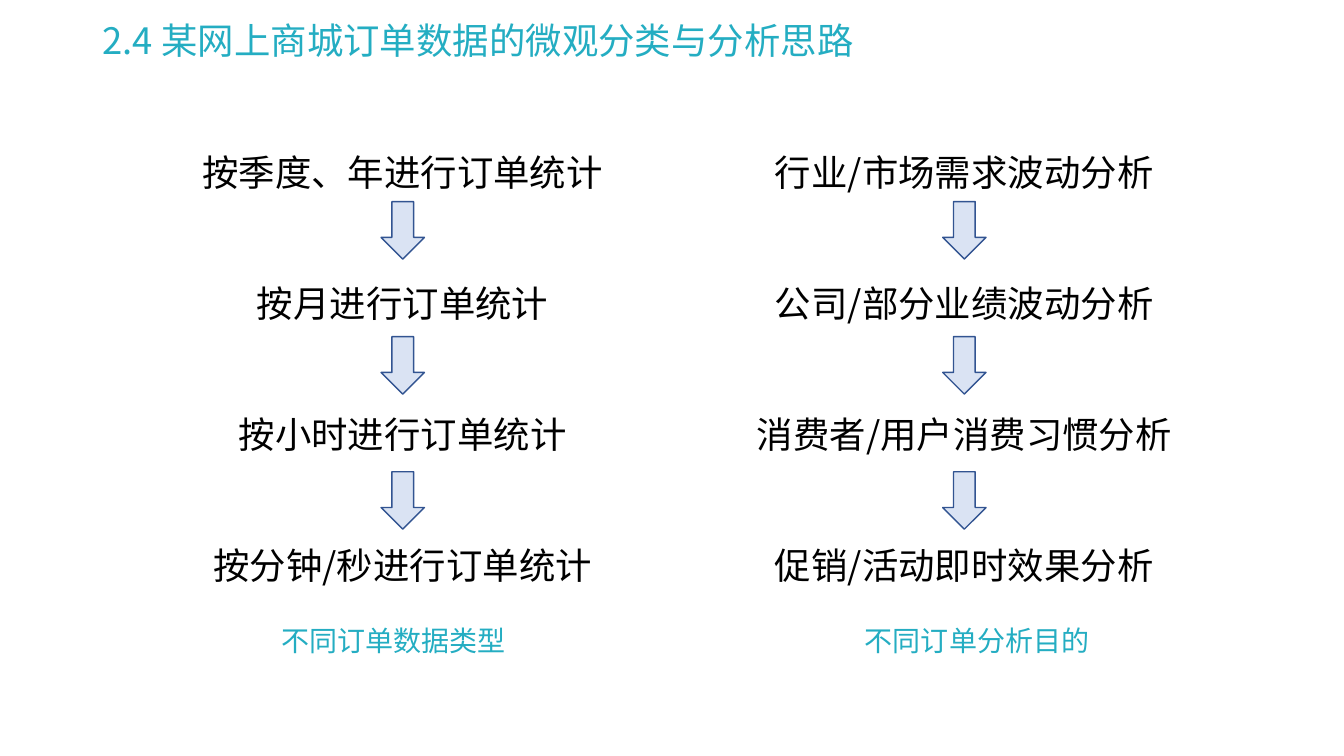
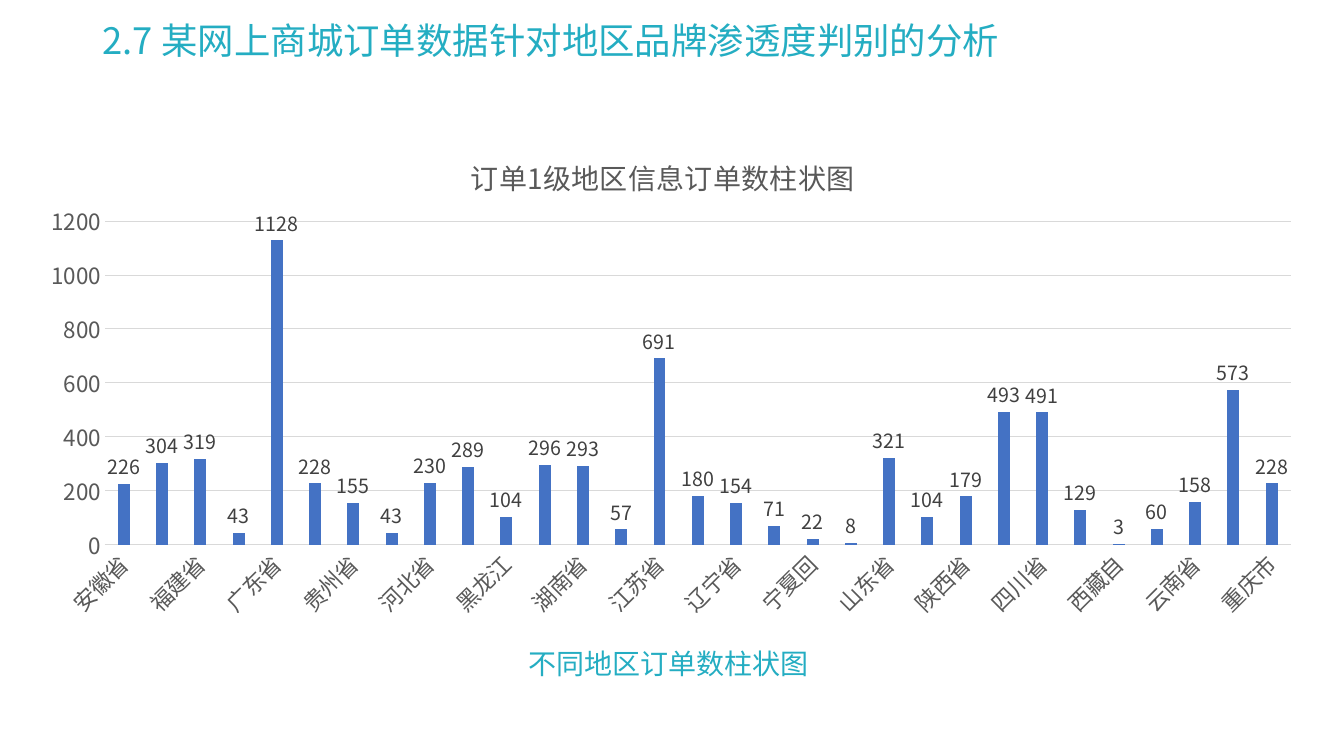
import dataclasses
import typing

import lxml.etree
import pptx
import pptx.chart.data
import pptx.dml.color
import pptx.enum.chart
import pptx.enum.shapes
import pptx.enum.text
import pptx.oxml.ns
import pptx.util

Inches = pptx.util.Inches
Pt = pptx.util.Pt
qn = pptx.oxml.ns.qn
ALIGN = pptx.enum.text.PP_ALIGN

FONT = "Noto Sans CJK SC"
TEAL, BLACK, GREY, DARK = "24ADC2", "000000", "595959", "404040"
GRID, BAR = "D9D9D9", "4472C4"
ARROW_FILL, ARROW_LINE = "DAE3F3", "325491"

TITLE = {"size": Pt(26), "color": TEAL}
STEP = {"size": Pt(26), "color": BLACK}
CAPTION = {"size": Pt(20), "color": TEAL}
CHART_TITLE = {"size": Pt(20), "color": GREY, "bold": False}
AXIS = {"size": Pt(16), "color": GREY}
DATA_LABEL = {"size": Pt(14), "color": DARK}

STEP_WIDTH, STEP_HEIGHT, STEP_TOP, STEP_PITCH = 4.53, 0.65, 1.38, 1.3
ARROW_WIDTH, ARROW_HEIGHT, ARROW_TOP, ARROW_PITCH = 0.43, 0.57, 2.0, 1.34


@dataclasses.dataclass
class Box:
    left: float
    top: float
    width: float
    height: float

    def lengths(self) -> list[int]:
        return [Inches(v) for v in (self.left, self.top, self.width, self.height)]


@dataclasses.dataclass
class Flow:
    left: float
    steps: list[str]
    caption: str
    caption_left: float


FLOWS = [
    Flow(1.73, ["按季度、年进行订单统计", "按月进行订单统计", "按小时进行订单统计", "按分钟/秒进行订单统计"],
         "不同订单数据类型", 2.69),
    Flow(7.3, ["行业/市场需求波动分析", "公司/部分业绩波动分析", "消费者/用户消费习惯分析", "促销/活动即时效果分析"],
         "不同订单分析目的", 8.48),
]

ORDERS = {
    "安徽省": 226, "北京市": 304, "福建省": 319, "甘肃省": 43, "广东省": 1128,
    "广西壮": 228, "贵州省": 155, "海南省": 43, "河北省": 230, "河南省": 289,
    "黑龙江": 104, "湖北省": 296, "湖南省": 293, "吉林省": 57, "江苏省": 691,
    "江西省": 180, "辽宁省": 154, "内蒙古": 71, "宁夏回": 22, "青海省": 8,
    "山东省": 321, "山西省": 104, "陕西省": 179, "上海市": 493, "四川省": 491,
    "天津市": 129, "西藏自": 3, "新疆维": 60, "云南省": 158, "浙江省": 573,
    "重庆市": 228,
}


def rgb(value: str) -> pptx.dml.color.RGBColor:
    return pptx.dml.color.RGBColor.from_string(value)


def set_font(font: typing.Any, fmt: dict[str, typing.Any]) -> None:
    for name, value in {"name": FONT, **fmt}.items():
        if name == "color":
            font.color.rgb = rgb(value)
        else:
            setattr(font, name, value)


def set_line(line: typing.Any, color: str, width: float) -> None:
    line.color.rgb = rgb(color)
    line.width = Pt(width)


def add_east_asian_font(root: typing.Any) -> None:
    for latin in list(root.iter(qn("a:latin"))):
        ea = lxml.etree.Element(qn("a:ea"))
        ea.set("typeface", FONT)
        latin.addnext(ea)


def add_text(slide: typing.Any, box: Box, text: str, fmt: dict[str, typing.Any],
             align: typing.Any = ALIGN.LEFT) -> None:
    sp = slide.shapes.add_textbox(*box.lengths())
    tf = sp.text_frame
    tf.word_wrap = True
    tf.vertical_anchor = pptx.enum.text.MSO_ANCHOR.MIDDLE
    p = tf.paragraphs[0]
    p.alignment = align
    r = p.add_run()
    r.text = text
    set_font(r.font, fmt)
    add_east_asian_font(sp.element)


def add_slide(prs: typing.Any, title: str) -> typing.Any:
    s = prs.slides.add_slide(prs.slide_layouts[6])
    add_text(s, Box(0.92, 0.07, 11.5, 0.66), title, TITLE)
    return s


def add_caption(slide: typing.Any, left: float, top: float, width: float, text: str) -> None:
    add_text(slide, Box(left, top, width, 0.55), text, CAPTION)


def add_arrow(slide: typing.Any, box: Box) -> None:
    sp = slide.shapes.add_shape(pptx.enum.shapes.MSO_SHAPE.DOWN_ARROW, *box.lengths())
    sp.shadow.inherit = False
    sp.fill.solid()
    sp.fill.fore_color.rgb = rgb(ARROW_FILL)
    set_line(sp.line, ARROW_LINE, 1)


def add_flow(slide: typing.Any, flow: Flow) -> None:
    for i, step in enumerate(flow.steps):
        box = Box(flow.left, STEP_TOP + i * STEP_PITCH, STEP_WIDTH, STEP_HEIGHT)
        add_text(slide, box, step, STEP, ALIGN.CENTER)
    arrow_left = flow.left + (STEP_WIDTH - ARROW_WIDTH) / 2
    for i in range(len(flow.steps) - 1):
        add_arrow(slide, Box(arrow_left, ARROW_TOP + i * ARROW_PITCH, ARROW_WIDTH, ARROW_HEIGHT))
    add_caption(slide, flow.caption_left, 6.08, 2.59, flow.caption)


def set_layout(parent: typing.Any, settings: dict[str, typing.Any]) -> None:
    layout = parent.find(qn("c:layout"))
    if layout is None:
        layout = lxml.etree.Element(qn("c:layout"))
        parent.insert(0, layout)
    manual = lxml.etree.SubElement(layout, qn("c:manualLayout"))
    for name, value in settings.items():
        lxml.etree.SubElement(manual, qn(f"c:{name}")).set("val", str(value))


def add_order_chart(slide: typing.Any, box: Box) -> None:
    data = pptx.chart.data.CategoryChartData()
    data.categories = list(ORDERS)
    data.add_series("订单数", list(ORDERS.values()))
    kind = pptx.enum.chart.XL_CHART_TYPE.COLUMN_CLUSTERED
    chart = slide.shapes.add_chart(kind, *box.lengths(), data).chart
    set_font(chart.font, {"size": Pt(10), "color": BLACK})
    chart.has_legend = False

    chart.has_title = True
    p = chart.chart_title.text_frame.paragraphs[0]
    r = p.add_run()
    r.text = "订单1级地区信息订单数柱状图"
    set_font(r.font, CHART_TITLE)

    for axis in (chart.category_axis, chart.value_axis):
        axis.major_tick_mark = pptx.enum.chart.XL_TICK_MARK.NONE
        axis.minor_tick_mark = pptx.enum.chart.XL_TICK_MARK.NONE
        set_font(axis.tick_labels.font, AXIS)
    set_line(chart.category_axis.format.line, GRID, 0.75)
    label_body = chart.category_axis._element.find(qn("c:txPr")).find(qn("a:bodyPr"))
    label_body.set("rot", "-2700000")
    label_body.set("vert", "horz")
    values = chart.value_axis
    values.minimum_scale, values.maximum_scale, values.major_unit = 0, 1200, 200
    values.format.line.fill.background()
    set_line(values.major_gridlines.format.line, GRID, 0.75)

    plot = chart.plots[0]
    plot.gap_width, plot.overlap, plot.vary_by_categories = 219, -27, False
    fill = plot.series[0].format.fill
    fill.solid()
    fill.fore_color.rgb = rgb(BAR)
    plot.has_data_labels = True
    labels = plot.data_labels
    labels.show_value = True
    labels.position = pptx.enum.chart.XL_LABEL_POSITION.OUTSIDE_END
    set_font(labels.font, DATA_LABEL)

    root = chart._chartSpace
    edges = {"xMode": "edge", "yMode": "edge"}
    set_layout(next(root.iter(qn("c:title"))), {**edges, "x": 0.34, "y": 0.04})
    set_layout(next(root.iter(qn("c:plotArea"))),
               {"layoutTarget": "inner", **edges, "x": 0.06, "y": 0.185, "w": 0.92, "h": 0.65})
    add_east_asian_font(root)


def main() -> None:
    prs = pptx.Presentation()
    prs.slide_width, prs.slide_height = Inches(13.33), Inches(7.5)

    s = add_slide(prs, "2.4 某网上商城订单数据的微观分类与分析思路")
    for flow in FLOWS:
        add_flow(s, flow)

    s = add_slide(prs, "2.7 某网上商城订单数据针对地区品牌渗透度判别的分析")
    add_order_chart(s, Box(0.27, 1.28, 12.79, 4.94))
    add_caption(s, 5.14, 6.31, 3.05, "不同地区订单数柱状图")

    prs.save("out.pptx")


if __name__ == "__main__":
    main()
